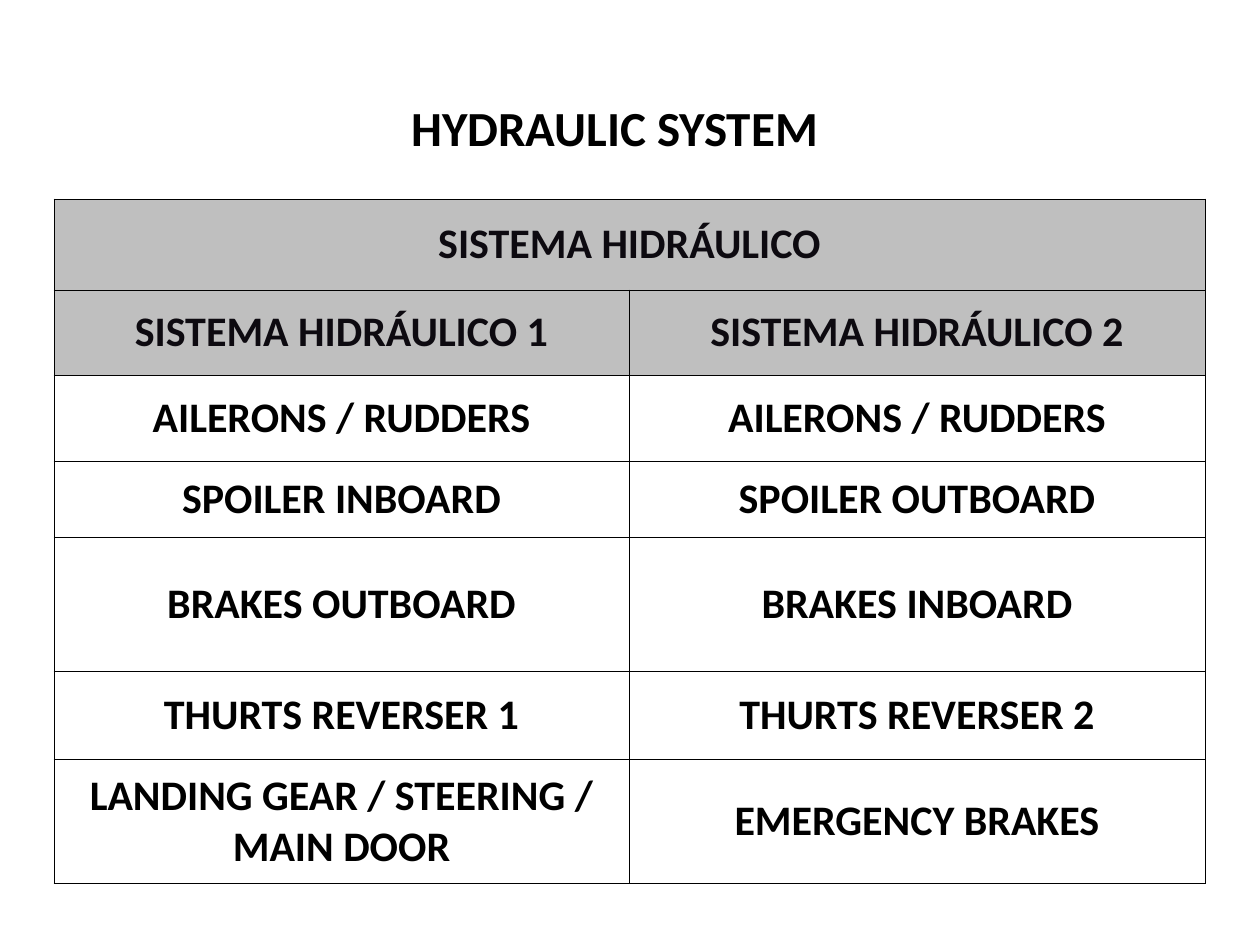
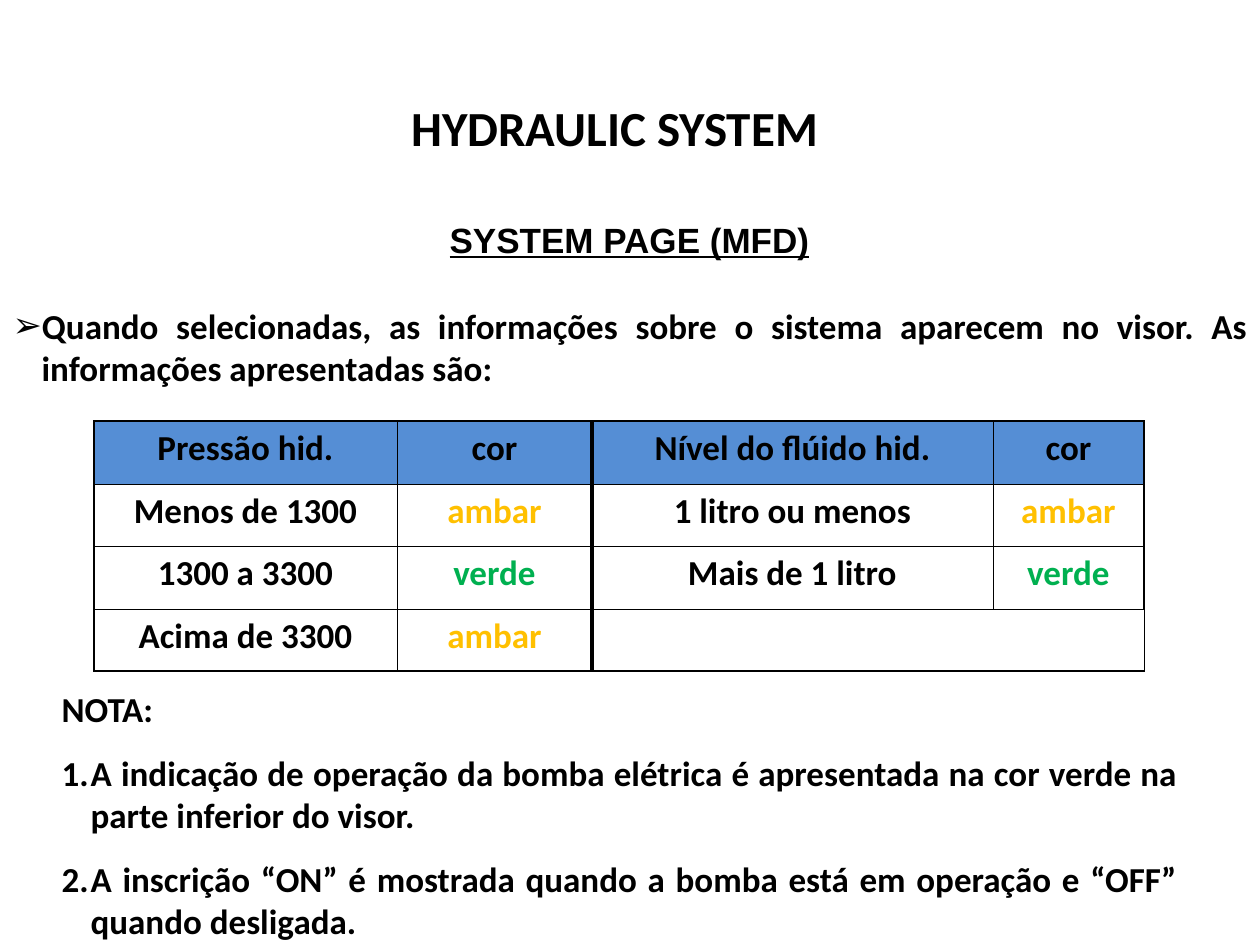
from lxml.etree import SubElement
from pptx import Presentation
from pptx.dml.color import RGBColor
from pptx.enum.text import MSO_ANCHOR, MSO_AUTO_SIZE, PP_ALIGN
from pptx.oxml.ns import qn
from pptx.util import Pt

# Content
TITLE = "HYDRAULIC SYSTEM"
HEAD = "SYSTEM PAGE (MFD)"
INTRO = [("➢", "Quando selecionadas, as informações sobre o sistema aparecem "
               "no visor. As informações apresentadas são:")]
NOTES = [
    (None, "NOTA:"),
    ("1.", "A indicação de operação da bomba elétrica é apresentada na cor "
           "verde na parte inferior do visor."),
    ("1.", "A inscrição “ON” é mostrada quando a bomba está em operação e "
           "“OFF” quando desligada."),
]
SYSTEMS = [
    ("SISTEMA HIDRÁULICO", ""),
    ("SISTEMA HIDRÁULICO 1", "SISTEMA HIDRÁULICO 2"),
    ("AILERONS / RUDDERS", "AILERONS / RUDDERS"),
    ("SPOILER INBOARD", "SPOILER OUTBOARD"),
    ("BRAKES OUTBOARD", "BRAKES INBOARD"),
    ("THURTS REVERSER 1", "THURTS REVERSER 2"),
    ("LANDING GEAR / STEERING / MAIN DOOR", "EMERGENCY BRAKES"),
]
LEVELS = [
    ("Pressão hid.", "cor", "Nível do flúido hid.", "cor"),
    ("Menos de 1300", "ambar", "1 litro ou menos", "ambar"),
    ("1300 a 3300", "verde", "Mais de 1 litro", "verde"),
    ("Acima de 3300", "ambar", "", ""),
]

# Shared style
COLORS = {"text": "000000", "dark": "0D0A10", "gray": "BFBFBF",
          "blue": "558ED5", "ambar": "FFC000", "verde": "00B050"}
FONT = "Calibri"
THIN, EDGE, THICK = 0.45, 1.08, 3
HANG = 29


def px(n):
    return round(n * 914400 / 126)


def rgb(name):
    return RGBColor.from_string(COLORS[name])


def write(para, text, size=20, color="text", font=FONT, align=PP_ALIGN.CENTER):
    para.alignment = align
    para.space_before = Pt(0)
    run = para.add_run()
    run.text = text
    run.font.size, run.font.name, run.font.bold = Pt(size), font, True
    run.font.color.rgb = rgb(color)
    return run


def place(shape, left, top, width, height):
    shape.left, shape.top = px(left), px(top)
    shape.width, shape.height = px(width), px(height)
    frame = shape.text_frame
    frame.word_wrap = True
    frame.auto_size = MSO_AUTO_SIZE.NONE
    frame.vertical_anchor = MSO_ANCHOR.TOP
    return frame


def add_slide(deck, layout):
    slide = deck.slides.add_slide(deck.slide_layouts[layout])
    frame = place(slide.shapes.title, 210, 91, 809, 73)
    write(frame.paragraphs[0], TITLE, 28)
    return slide


# Lists
def mark(para, sign):
    props = para._p.get_or_add_pPr()
    hang = px(HANG) if sign else 0
    props.set("marL", str(hang))
    props.set("indent", str(-hang))
    if sign is None:
        SubElement(props, qn("a:buNone"))
        return
    color = SubElement(props, qn("a:buClr"))
    SubElement(color, qn("a:srgbClr"), val=COLORS["text"])
    SubElement(props, qn("a:buFont"), typeface=FONT)
    if sign == "1.":
        SubElement(props, qn("a:buAutoNum"), type="arabicPeriod")
    else:
        SubElement(props, qn("a:buChar"), char=sign)


def fill_list(frame, items):
    for i, (sign, text) in enumerate(items):
        para = frame.add_paragraph() if i else frame.paragraphs[0]
        write(para, text, align=PP_ALIGN.JUSTIFY)
        para.space_before = Pt(12.5 if i else 0)
        mark(para, sign)


# Tables
def border(cell, widths):
    props = cell._tc.get_or_add_tcPr()
    for i, (side, width) in enumerate(zip("LRTB", widths)):
        line = SubElement(props, qn("a:ln" + side), w=str(Pt(width)))
        fill = SubElement(line, qn("a:solidFill"))
        SubElement(fill, qn("a:srgbClr"), val=COLORS["text"])
        props.insert(i, line)


def add_grid(slide, data, left, top, cols, rows):
    table = slide.shapes.add_table(len(rows), len(cols), px(left), px(top),
                                   px(sum(cols)), px(sum(rows))).table
    table.first_row = table.horz_banding = False
    for col, width in zip(table.columns, cols):
        col.width = px(width)
    for row, height in zip(table.rows, rows):
        row.height = px(height)
    for r, line in enumerate(data):
        for c, text in enumerate(line):
            yield table, r, c, text


def shade(cell, color):
    if color:
        cell.fill.solid()
        cell.fill.fore_color.rgb = rgb(color)
    else:
        cell.fill.background()


def systems(slide):
    rows = [91, 85, 86, 76, 134, 88, 125]
    for table, r, c, text in add_grid(slide, SYSTEMS, 54, 199, [575, 576], rows):
        cell, top = table.cell(r, c), r < 2
        cell.vertical_anchor = MSO_ANCHOR.MIDDLE
        cell.margin_left = cell.margin_right = px(9)
        shade(cell, "gray" if top else None)
        border(cell, [THIN] * 4)
        if text:
            write(cell.text_frame.paragraphs[0], text, 24,
                  "dark" if top else "text")
    table.cell(0, 0).merge(table.cell(0, 1))


def levels(slide):
    cols, rows = [303, 195, 401, 151], [63, 62, 63, 62]
    xs = [EDGE, THIN, THICK, THIN, EDGE]
    ys = [EDGE, THIN, THIN, THIN, EDGE]
    for table, r, c, text in add_grid(slide, LEVELS, 94, 421, cols, rows):
        cell = table.cell(r, c)
        shade(cell, None if r else "blue")
        border(cell, [xs[c], xs[c + 1], ys[r], ys[r + 1]])
        if text:
            write(cell.text_frame.paragraphs[0], text,
                  color=text if text in COLORS else "text")
    table.cell(3, 2).merge(table.cell(3, 3))


def main():
    deck = Presentation()
    deck.slide_width, deck.slide_height = px(1260), px(945)

    # Systems slide
    systems(add_slide(deck, 5))

    # System page slide
    slide = add_slide(deck, 3)
    intro, notes = slide.placeholders[1], slide.placeholders[2]
    fill_list(place(intro, 0, 298, 1260, 98), INTRO)
    fill_list(place(notes, 49, 681, 1141, 264), NOTES)
    levels(slide)
    box = slide.shapes.add_textbox(0, 0, 0, 0)
    frame = place(box, 302, 212, 655, 55)
    write(frame.paragraphs[0], HEAD, font="Arial").font.underline = True

    deck.save("out.pptx")


if __name__ == "__main__":
    main()
